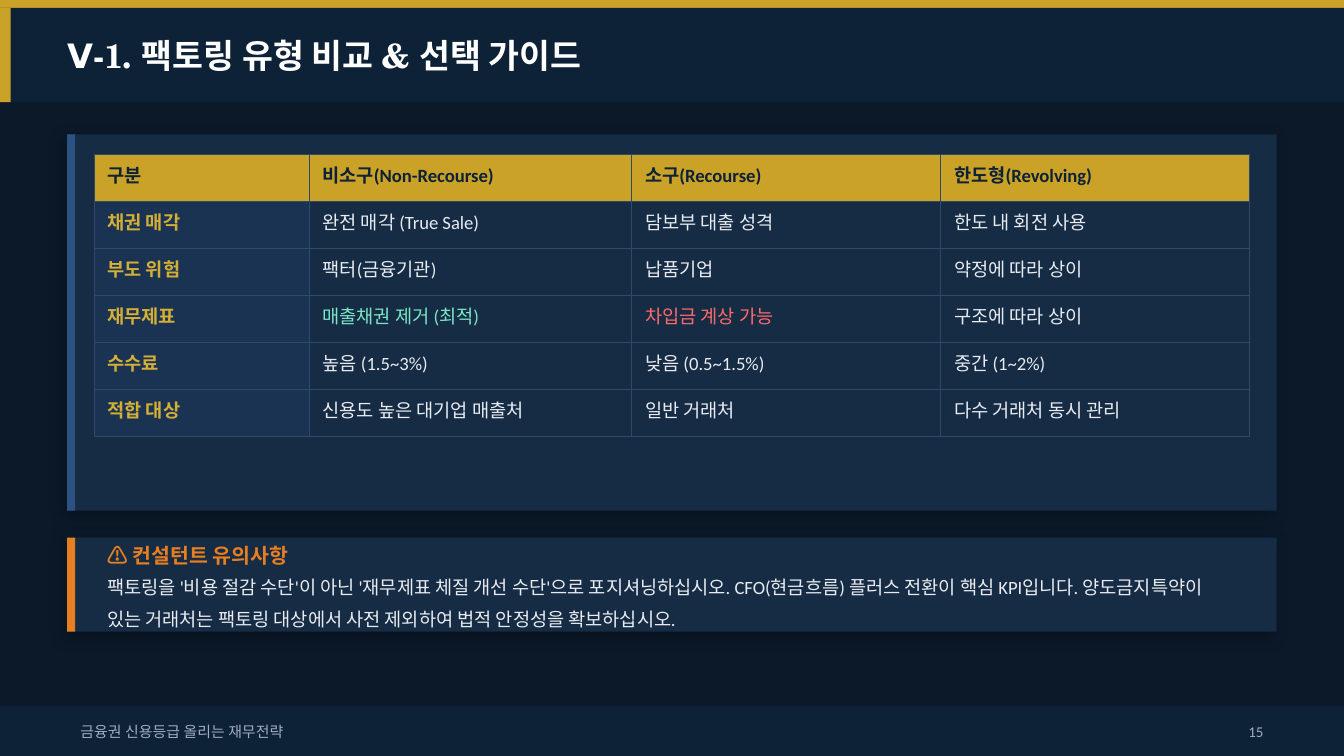
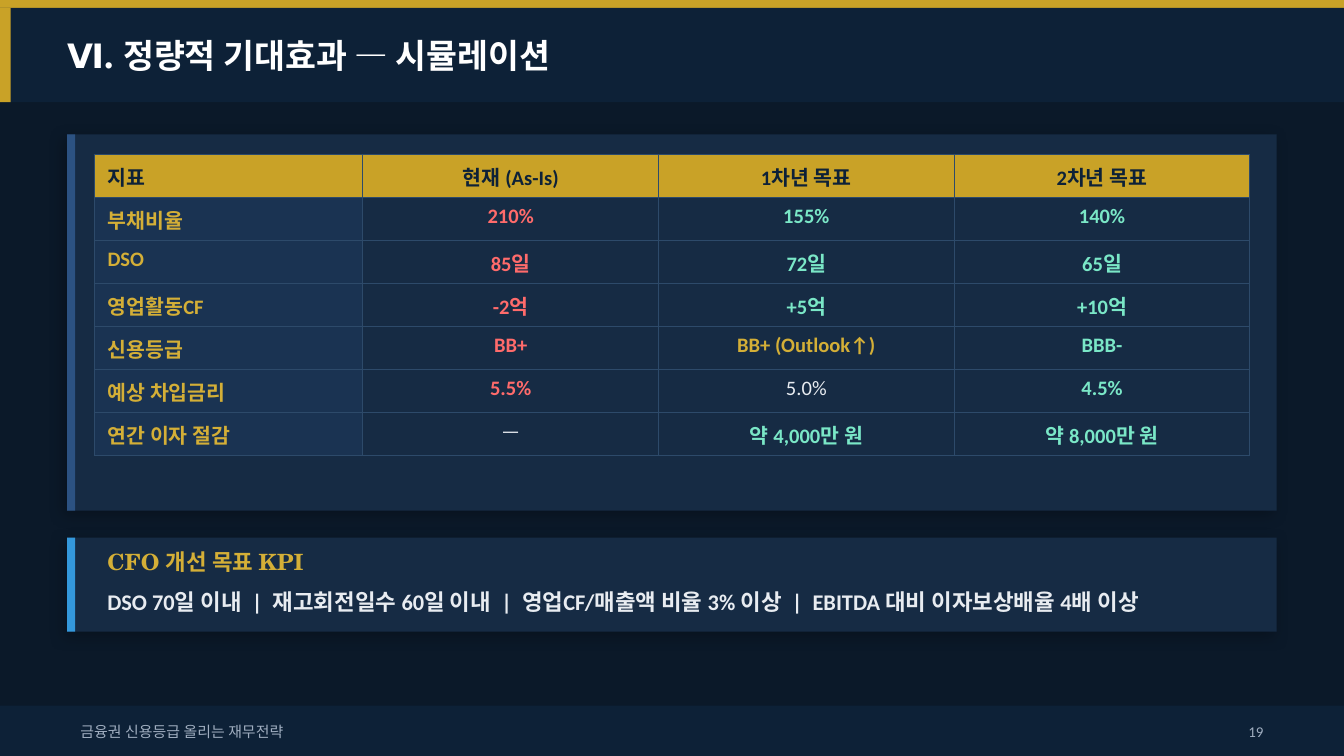
from dataclasses import dataclass
from typing import NamedTuple

from lxml import etree
from pptx import Presentation
from pptx.dml.color import RGBColor
from pptx.enum.shapes import MSO_SHAPE
from pptx.enum.text import MSO_ANCHOR, MSO_AUTO_SIZE, PP_ALIGN
from pptx.oxml.ns import qn
from pptx.util import Inches, Pt

BACKGROUND = RGBColor(0x0B, 0x19, 0x29)
NAVY = RGBColor(0x0D, 0x21, 0x37)
PANEL = RGBColor(0x16, 0x2B, 0x44)
LABEL_FILL = RGBColor(0x1A, 0x33, 0x52)
GRID = RGBColor(0x2D, 0x4A, 0x6A)
STEEL = RGBColor(0x2C, 0x52, 0x82)
GOLD = RGBColor(0xC9, 0xA2, 0x27)
LIGHT_GOLD = RGBColor(0xD4, 0xAF, 0x37)
ORANGE = RGBColor(0xE6, 0x7E, 0x22)
BLUE = RGBColor(0x34, 0x98, 0xDB)
GREEN = RGBColor(0x7A, 0xE7, 0xC7)
RED = RGBColor(0xFF, 0x6B, 0x6B)
PALE = RGBColor(0xE8, 0xEC, 0xF1)
GRAY = RGBColor(0xA0, 0xAE, 0xC0)
WHITE = RGBColor(0xFF, 0xFF, 0xFF)

HEADING_FONT = "TeX Gyre Schola"
BODY_FONT = "Calibri"
FOOTER = "금융권 신용등급 올리는 재무전략"
TITLE_ONLY = 5


class Box(NamedTuple):
    left: float
    top: float
    width: float
    height: float

    def inches(self):
        return [Inches(length) for length in self]


class Style(NamedTuple):
    size: float
    color: RGBColor
    bold: bool = False
    font: str = BODY_FONT


class Cell(NamedTuple):
    text: str
    color: RGBColor = PALE


@dataclass
class Comparison:
    header: list[str]
    rows: list[list[Cell]]
    widths: list[float]
    row_height: float
    size: float
    values_align: PP_ALIGN = PP_ALIGN.LEFT
    bold_highlights: bool = False


@dataclass
class Callout:
    accent: RGBColor
    heading: str
    heading_style: Style
    heading_top: float
    message: str
    message_style: Style
    message_top: float
    message_anchor: MSO_ANCHOR = MSO_ANCHOR.MIDDLE
    line_spacing: float = 1.0


@dataclass
class Page:
    title: str
    number: int
    comparison: Comparison
    callout: Callout


def cells(label: str, *values: Cell) -> list[Cell]:
    return [Cell(label, LIGHT_GOLD), *values]


def write(frame, content: str, style: Style, align=PP_ALIGN.LEFT):
    paragraph = frame.paragraphs[0]
    paragraph.text = content
    paragraph.alignment = align
    font = paragraph.font
    font.name, font.size, font.bold = style.font, Pt(style.size), style.bold
    font.color.rgb = style.color
    return paragraph


def add_text(slide, box: Box, content: str, style: Style,
             align=PP_ALIGN.LEFT, anchor=MSO_ANCHOR.MIDDLE):
    frame = slide.shapes.add_textbox(*box.inches()).text_frame
    frame.word_wrap = True
    frame.vertical_anchor = anchor
    return write(frame, content, style, align)


def add_band(slide, box: Box, color: RGBColor):
    band = slide.shapes.add_shape(MSO_SHAPE.RECTANGLE, *box.inches())
    band.shadow.inherit = False
    band.fill.solid()
    band.fill.fore_color.rgb = color
    band.line.fill.background()
    return band


def add_card(slide, box: Box, accent: RGBColor) -> None:
    """Panel with a soft shadow and a coloured strip along its left side."""
    card = add_band(slide, box, PANEL)
    effects = card.element.spPr.find(qn("a:effectLst"))
    shadow = etree.SubElement(
        effects, qn("a:outerShdw"), blurRad=str(Pt(8)), dist=str(Pt(3)),
        dir=str(135 * 60000), algn="bl", rotWithShape="0")
    black = etree.SubElement(shadow, qn("a:srgbClr"), val="000000")
    etree.SubElement(black, qn("a:alpha"), val="25000")
    add_band(slide, box._replace(width=0.06), accent)


def add_borders(cell) -> None:
    properties = cell._tc.get_or_add_tcPr()
    for index, side in enumerate(("lnL", "lnR", "lnT", "lnB")):
        line = etree.Element(qn(f"a:{side}"), w=str(Pt(0.5)))
        fill = etree.SubElement(line, qn("a:solidFill"))
        etree.SubElement(fill, qn("a:srgbClr"), val=str(GRID))
        properties.insert(index, line)


def add_comparison(slide, comparison: Comparison) -> None:
    grid = [[Cell(name, NAVY) for name in comparison.header], *comparison.rows]
    box = Box(0.7, 1.15, sum(comparison.widths), comparison.row_height * len(grid))
    table = slide.shapes.add_table(
        len(grid), len(comparison.widths), *box.inches()).table
    table.first_row = table.horz_banding = False
    for column, width in zip(table.columns, comparison.widths):
        column.width = Inches(width)
    for r, row in enumerate(grid):
        table.rows[r].height = Inches(comparison.row_height)
        for c, (content, color) in enumerate(row):
            is_heading = r == 0 or c == 0
            bold = is_heading or (comparison.bold_highlights and color != PALE)
            cell = table.cell(r, c)
            cell.fill.solid()
            cell.fill.fore_color.rgb = (
                GOLD if r == 0 else LABEL_FILL if c == 0 else PANEL)
            add_borders(cell)
            write(cell.text_frame, content, Style(comparison.size, color, bold),
                  comparison.values_align if c else PP_ALIGN.LEFT)


def add_callout(slide, callout: Callout) -> None:
    add_card(slide, Box(0.5, 4, 9, 0.7), callout.accent)
    add_text(slide, Box(0.7, callout.heading_top, 8.6, 0.25),
             callout.heading, callout.heading_style)
    message = add_text(slide, Box(0.7, callout.message_top, 8.6, 0.35),
                       callout.message, callout.message_style,
                       anchor=callout.message_anchor)
    message.line_spacing = callout.line_spacing


def add_title(slide, content: str) -> None:
    title = slide.shapes.title
    title.element.getparent().append(title.element)  # bring in front of the bands
    title.left, title.top, title.width, title.height = Box(0.5, 0.06, 9, 0.7).inches()
    frame = title.text_frame
    frame.margin_left = frame.margin_right = frame.margin_top = frame.margin_bottom = 0
    frame.vertical_anchor = MSO_ANCHOR.MIDDLE
    frame.auto_size = MSO_AUTO_SIZE.NONE
    write(frame, content, Style(18, WHITE, True, HEADING_FONT))


def add_frame(slide, page: Page) -> None:
    """Background, title band and footer shared by every slide."""
    slide.background.fill.solid()
    slide.background.fill.fore_color.rgb = BACKGROUND
    add_band(slide, Box(0, 0, 10, 0.06), GOLD)
    add_band(slide, Box(0, 0.06, 10, 0.7), NAVY)
    add_band(slide, Box(0, 0.06, 0.08, 0.7), GOLD)
    add_title(slide, page.title)
    add_band(slide, Box(0, 5.25, 10, 0.38), NAVY)
    small = Style(8, GRAY)
    add_text(slide, Box(0.5, 5.25, 7, 0.38), FOOTER, small)
    add_text(slide, Box(9, 5.25, 0.5, 0.38), str(page.number), small, PP_ALIGN.RIGHT)


FACTORING = Page(
    "Ⅴ-1. 팩토링 유형 비교 & 선택 가이드", 15,
    Comparison(
        header=["구분", "비소구(Non-Recourse)", "소구(Recourse)", "한도형(Revolving)"],
        rows=[
            cells("채권 매각", Cell("완전 매각 (True Sale)"), Cell("담보부 대출 성격"),
                  Cell("한도 내 회전 사용")),
            cells("부도 위험", Cell("팩터(금융기관)"), Cell("납품기업"),
                  Cell("약정에 따라 상이")),
            cells("재무제표", Cell("매출채권 제거 (최적)", GREEN),
                  Cell("차입금 계상 가능", RED), Cell("구조에 따라 상이")),
            cells("수수료", Cell("높음 (1.5~3%)"), Cell("낮음 (0.5~1.5%)"),
                  Cell("중간 (1~2%)")),
            cells("적합 대상", Cell("신용도 높은 대기업 매출처"), Cell("일반 거래처"),
                  Cell("다수 거래처 동시 관리")),
        ],
        widths=[1.6, 2.4, 2.3, 2.3], row_height=0.35, size=10),
    Callout(
        ORANGE, "⚠️ 컨설턴트 유의사항", Style(11, ORANGE, True, HEADING_FONT), 4.01,
        "팩토링을 '비용 절감 수단'이 아닌 '재무제표 체질 개선 수단'으로 포지셔닝하십시오. "
        "CFO(현금흐름) 플러스 전환이 핵심 KPI입니다. "
        "양도금지특약이 있는 거래처는 팩토링 대상에서 사전 제외하여 "
        "법적 안정성을 확보하십시오.",
        Style(10, PALE), 4.17, MSO_ANCHOR.TOP, line_spacing=1.4))

SIMULATION = Page(
    "Ⅵ. 정량적 기대효과 — 시뮬레이션", 19,
    Comparison(
        header=["지표", "현재 (As-Is)", "1차년 목표", "2차년 목표"],
        rows=[
            cells("부채비율", Cell("210%", RED), Cell("155%", GREEN), Cell("140%", GREEN)),
            cells("DSO", Cell("85일", RED), Cell("72일", GREEN), Cell("65일", GREEN)),
            cells("영업활동CF", Cell("-2억", RED), Cell("+5억", GREEN),
                  Cell("+10억", GREEN)),
            cells("신용등급", Cell("BB+", RED), Cell("BB+ (Outlook↑)", LIGHT_GOLD),
                  Cell("BBB-", GREEN)),
            cells("예상 차입금리", Cell("5.5%", RED), Cell("5.0%"), Cell("4.5%", GREEN)),
            cells("연간 이자 절감", Cell("—"), Cell("약 4,000만 원", GREEN),
                  Cell("약 8,000만 원", GREEN)),
        ],
        widths=[2, 2.2, 2.2, 2.2], row_height=0.32, size=11,
        values_align=PP_ALIGN.CENTER, bold_highlights=True),
    Callout(
        BLUE, "CFO 개선 목표 KPI", Style(12, LIGHT_GOLD, True, HEADING_FONT), 4.05,
        "  |  ".join(["DSO 70일 이내", "재고회전일수 60일 이내",
                      "영업CF/매출액 비율 3% 이상", "EBITDA 대비 이자보상배율 4배 이상"]),
        Style(12, PALE, True), 4.3))


def main() -> None:
    deck = Presentation()
    deck.slide_width = Inches(10)
    deck.slide_height = deck.slide_width * 9 // 16
    for page in (FACTORING, SIMULATION):
        slide = deck.slides.add_slide(deck.slide_layouts[TITLE_ONLY])
        add_frame(slide, page)
        add_card(slide, Box(0.5, 1, 9, 2.8), STEEL)
        add_comparison(slide, page.comparison)
        add_callout(slide, page.callout)
    deck.save("out.pptx")


if __name__ == "__main__":
    main()
